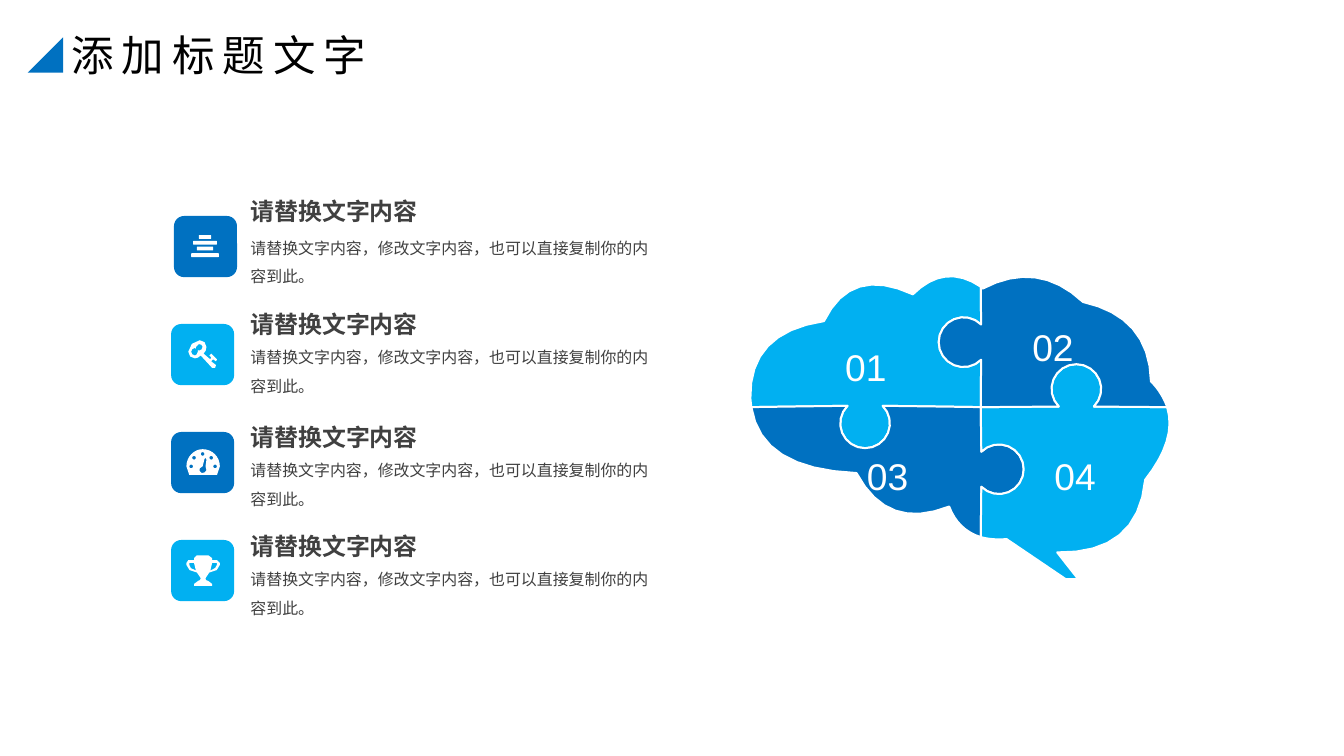
from math import cos, dist, radians, sin
from pptx import Presentation
from pptx.dml.color import RGBColor
from pptx.enum.shapes import MSO_SHAPE
from pptx.enum.text import MSO_ANCHOR, PP_ALIGN
from pptx.util import Inches, Pt

ROUND = MSO_SHAPE.ROUNDED_RECTANGLE
WEDGE = MSO_SHAPE.RIGHT_TRIANGLE
MIDDLE = MSO_ANCHOR.MIDDLE
CENTER = PP_ALIGN.CENTER
BLUE = RGBColor(0x00, 0x71, 0xC1)
SKY = RGBColor(0x01, 0xB0, 0xF1)
WHITE = RGBColor(0xFF, 0xFF, 0xFF)
GRAY = RGBColor(0x40, 0x40, 0x40)
BLACK = RGBColor(0x00, 0x00, 0x00)
FONT = "Arial"


def ring(x, y, r, turn, sweep, count):
    steps = [radians(turn + sweep * k / count) for k in range(count + 1)]
    return [(x + r * cos(a), y + r * sin(a)) for a in steps]


def draw(home, loops, fill):
    form = None
    for loop in loops:
        dots = [loop[0]]
        for part in loop[1:]:
            if len(part) == 2:
                dots.append(part)
                continue
            knots = [dots[-1], part[:2], part[2:4], part[4:]]
            count = 8 if dist(knots[0], knots[3]) > 0.2 else 2
            for k in range(1, count + 1):
                t = k / count
                mix = ((1 - t) ** 3, 3 * t * (1 - t) ** 2, 3 * t * t * (1 - t), t ** 3)
                dots.append(tuple(sum(m * p[i] for m, p in zip(mix, knots)) for i in (0, 1)))
        dots = [(Inches(x), Inches(y)) for x, y in dots]
        if form is None:
            form = home.build_freeform(*dots[0])
        else:
            form.move_to(*dots[0])
        form.add_line_segments(dots[1:], close=True)
    shape = form.convert_to_shape()
    shape.shadow.inherit = False
    shape.fill.solid()
    shape.fill.fore_color.rgb = fill
    shape.line.fill.background()
    return shape


deck = Presentation()
deck.slide_width, deck.slide_height = Inches(14.06), Inches(7.91)
slide = deck.slides.add_slide(deck.slide_layouts[6])
shapes = slide.shapes

hub = (10.26, 4.26)
left = [hub, *ring(9.05, 4.43, 0.26, 315, 270, 16), (7.86, 4.26)]
top = [hub, *ring(10.08, 3.58, 0.26, 45, 270, 16), (10.26, 3)]
right = [hub, *ring(11.26, 4.07, 0.26, 135, 270, 16), (12.21, 4.26)]
base = [hub, *ring(10.45, 4.91, 0.26, 225, 270, 16), (10.26, 5.62)]

rims = {
    "01": [(7.85, 4.17), (7.84, 3.71, 8.09, 3.44, 8.62, 3.36),
           (8.81, 2.97, 9.12, 2.88, 9.55, 3.08), (9.77, 2.86, 10.01, 2.83, 10.26, 3)],
    "02": [(10.28, 3.02), (10.66, 2.82, 11.01, 2.86, 11.33, 3.16),
           (11.78, 3.26, 12.03, 3.53, 12.04, 3.99), (12.12, 4.07, 12.18, 4.17, 12.21, 4.26)],
    "04": [(12.28, 4.49, 12.2, 4.74, 11.98, 5.02), (11.93, 5.54, 11.62, 5.79, 11.06, 5.78),
           (11.28, 6.06), (11.15, 6.06), (10.53, 5.64), (10.43, 5.65, 10.34, 5.64, 10.26, 5.62)],
    "03": [(10.1, 5.57, 9.99, 5.46, 9.93, 5.3), (9.5, 5.47, 9.18, 5.36, 8.96, 4.95),
           (8.29, 4.92, 7.93, 4.7, 7.86, 4.26)],
}
for label, start, end, fill in [("01", left, top, SKY), ("03", base, left, BLUE),
                                ("04", right, base, SKY), ("02", top, right, BLUE)]:
    piece = draw(shapes, [start + rims[label] + end[-2:0:-1]], fill)
    piece.line.color.rgb = WHITE
    piece.line.width = Pt(1.5)
    frame = piece.text_frame
    frame.margin_left = frame.margin_right = frame.margin_top = frame.margin_bottom = 0
    frame.vertical_anchor = MIDDLE
    frame.text = label
    para = frame.paragraphs[0]
    para.alignment = CENTER
    para.line_spacing = 1.2
    para.font.name, para.font.size = FONT, Pt(28)
    para.font.color.rgb = WHITE

for i, y in enumerate([2.06, 3.09, 4.27, 5.41]):
    note = shapes.add_textbox(Inches(2.62), Inches(y), Inches(4.25), Inches(1.06 if i else 0.95))
    frame = note.text_frame
    frame.word_wrap = True
    frame.margin_left = frame.margin_right = frame.margin_top = frame.margin_bottom = 0
    frame.text = "请替换文字内容\n请替换文字内容，修改文字内容，也可以直接复制你的内容到此。"
    head, body = frame.paragraphs
    body.line_spacing = 1.5
    if i:
        head.line_spacing = 1.5
    else:
        body.space_before = Pt(2.4)
    for para, size in [(head, 18), (body, 12)]:
        run = para.runs[0]
        run.font.name, run.font.size = FONT, Pt(size)
        run.font.bold = para is head
        run.font.color.rgb = GRAY

key = [
    [(2.26, 3.78), (2.23, 3.76), (2.21, 3.78), (2.26, 3.82), (2.25, 3.85),
     (2.22, 3.85), (2.1, 3.72), (2.08, 3.74, 2.06, 3.75, 2.04, 3.75),
     (2, 3.75, 1.97, 3.72, 1.97, 3.68), (1.97, 3.62, 2.03, 3.56, 2.09, 3.56),
     (2.13, 3.56, 2.16, 3.59, 2.16, 3.63), (2.16, 3.66, 2.15, 3.68, 2.13, 3.7),
     (2.2, 3.76), (2.21, 3.74), (2.19, 3.72), (2.21, 3.7), (2.27, 3.76)],
    [(2.08, 3.6), (2.05, 3.63), (2.05, 3.65), (2.04, 3.64),
     (2.02, 3.64, 2, 3.66, 2, 3.68), (2, 3.7, 2.02, 3.72, 2.04, 3.72),
     (2.05, 3.72, 2.07, 3.7, 2.07, 3.68), (2.07, 3.66), (2.08, 3.67),
     (2.1, 3.67, 2.12, 3.65, 2.12, 3.63), (2.12, 3.61, 2.1, 3.6, 2.08, 3.6)],
]
gauge = [
    [(2.27, 4.97), (1.98, 4.97), (1.95, 4.88), (1.95, 4.78, 2.03, 4.7, 2.12, 4.7),
     (2.22, 4.7, 2.3, 4.78, 2.3, 4.88)],
    [(2.16, 4.81), (2.15, 4.79), (2.14, 4.8), (2.12, 4.88), (2.09, 4.9),
     (2.08, 4.92, 2.09, 4.94, 2.11, 4.95), (2.14, 4.95, 2.15, 4.94, 2.16, 4.92), (2.15, 4.88)],
]
for x, y in [(2, 4.88), (2.03, 4.79), (2.12, 4.75), (2.21, 4.79), (2.25, 4.88)]:
    gauge.append(ring(x, y, 0.02, 0, 360, 8)[:-1])
cup = [
    [(2.3, 5.91), (2.3, 5.95, 2.25, 5.99, 2.19, 5.99), (2.17, 6.02), (2.15, 6.05),
     (2.15, 6.06, 2.15, 6.08, 2.18, 6.08), (2.22, 6.11), (2.22, 6.13), (2.03, 6.13),
     (2.03, 6.11), (2.07, 6.08), (2.09, 6.08, 2.1, 6.06, 2.1, 6.05), (2.08, 6.02),
     (2.06, 5.99), (2, 5.99, 1.95, 5.95, 1.95, 5.91), (1.95, 5.89), (1.97, 5.86),
     (2.03, 5.86), (2.03, 5.84), (2.06, 5.81), (2.18, 5.81), (2.22, 5.84), (2.22, 5.86),
     (2.27, 5.86), (2.3, 5.89)],
    [(2.03, 5.89), (1.98, 5.89), (1.98, 5.91), (1.98, 5.93, 2, 5.96, 2.05, 5.97)],
    [(2.27, 5.89), (2.22, 5.89), (2.2, 5.97), (2.24, 5.96, 2.27, 5.93, 2.27, 5.91)],
]
bars = [(2.08, 2.46, 0.13), (2.02, 2.52, 0.25), (2.06, 2.58, 0.17), (2, 2.65, 0.29)]
for i, icon in enumerate([None, key, gauge, cup]):
    home = shapes.add_group_shape().shapes
    blocks = [(1.79 if i else 1.82, 2.26 + 1.13 * i, 0.66, 0.64, SKY if i % 2 else BLUE)]
    if icon is None:
        blocks += [(x, y, wide, 0.04, WHITE) for x, y, wide in bars]
    for x, y, wide, high, fill in blocks:
        block = home.add_shape(ROUND, Inches(x), Inches(y), Inches(wide), Inches(high))
        block.shadow.inherit = False
        block.fill.solid()
        block.fill.fore_color.rgb = fill
        block.line.fill.background()
    if icon:
        draw(home, icon, WHITE)

title = shapes.add_textbox(Inches(0.65), Inches(0.25), Inches(3.4), Inches(0.64))
title.text_frame.word_wrap = False
title.text_frame.text = "添加标题文字"
run = title.text_frame.paragraphs[0].runs[0]
run.font.name, run.font.size = FONT, Pt(32)
run.font.color.rgb = BLACK
run.font._element.set("spc", "600")

wedge = shapes.add_shape(WEDGE, Inches(0.29), Inches(0.39), Inches(0.37), Inches(0.37))
wedge.rotation = 270
wedge.shadow.inherit = False
wedge.fill.solid()
wedge.fill.fore_color.rgb = BLUE
wedge.line.fill.background()

deck.save("out.pptx")
